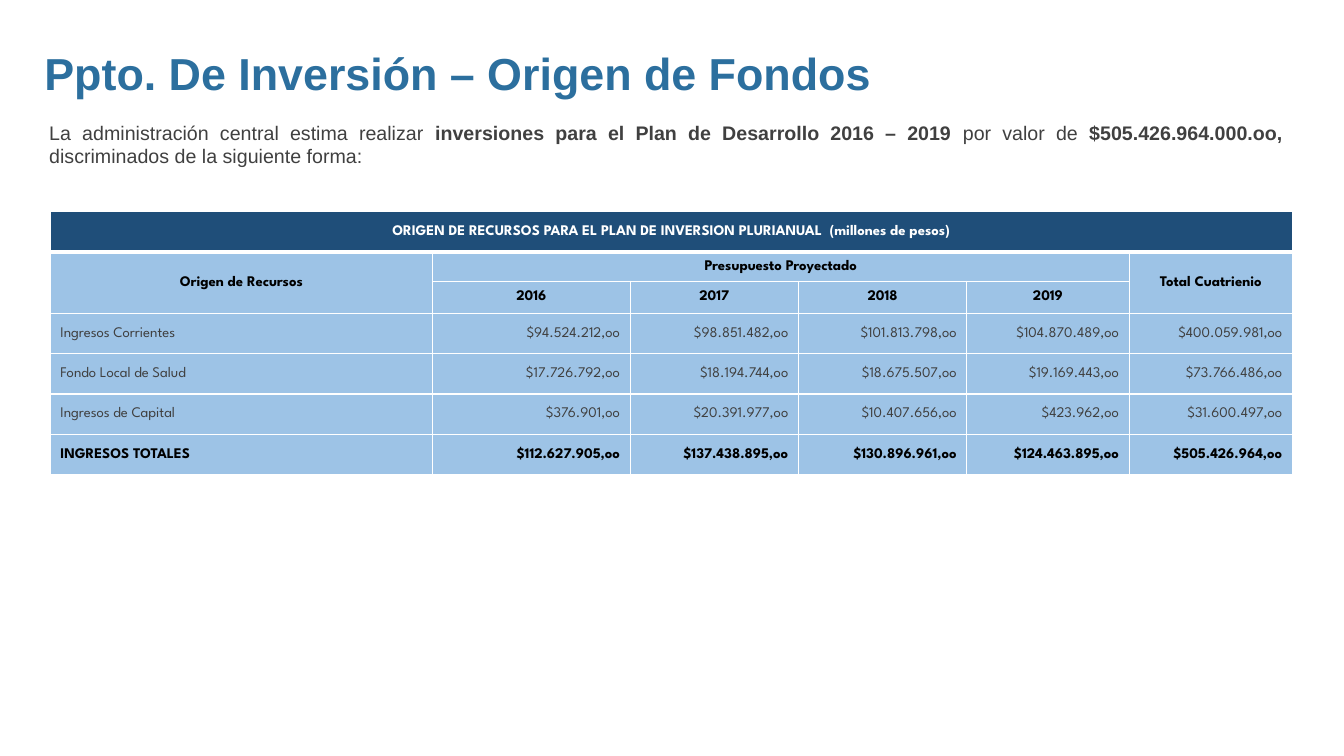
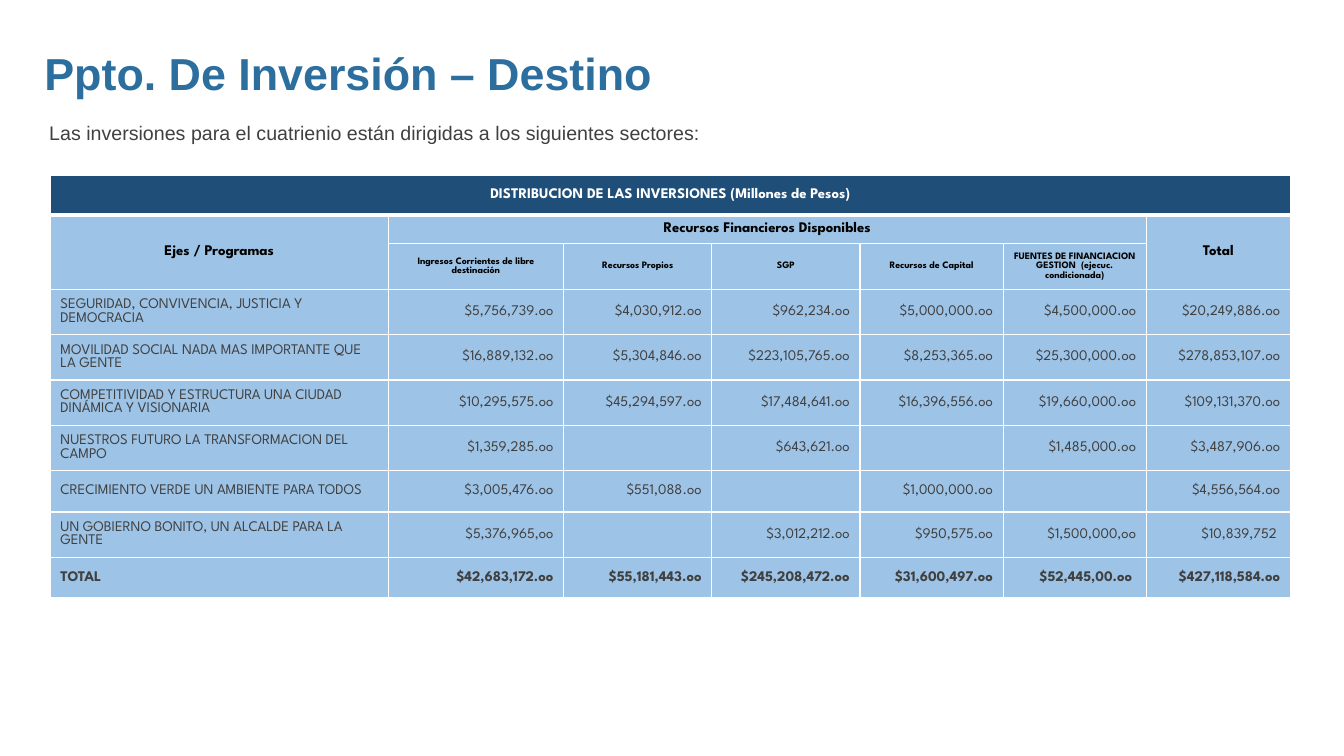
"""Build two investment budget slides: origin of funds and destination."""
from lxml import etree
from pptx import Presentation
from pptx.dml.color import RGBColor
from pptx.enum import text
from pptx.oxml import ns
from pptx.util import Inches, Pt

COLORS = {"title": "2C6F9E", "body": "404040", "banner": "1F4E79",
          "cell": "9DC3E6", "white": "FFFFFF", "black": "000000"}
BODY_FONT, TABLE_FONT = "Arial", "League Spartan"
LEFT, CENTER, RIGHT, JUSTIFY = (text.PP_ALIGN.LEFT, text.PP_ALIGN.CENTER,
                                text.PP_ALIGN.RIGHT, text.PP_ALIGN.JUSTIFY)
HEADER_ROWS = 3

SLIDES = [
    {
        "title": "Ppto. De Inversión – Origen de Fondos",
        "intro": [("La administración central estima realizar ", False),
                  ("inversiones para el Plan de Desarrollo 2016 – 2019 ", True),
                  ("por valor de ", False),
                  ("$505.426.964.000.oo, ", True),
                  ("discriminados de la siguiente forma:", False)],
        "intro_height": 0.57,
        "top": 2.1,
        "banner": "ORIGEN DE RECURSOS PARA EL PLAN DE INVERSION PLURIANUAL  (millones de pesos)",
        "label": "Origen de Recursos",
        "group": "Presupuesto Proyectado",
        "total": "Total Cuatrienio",
        "subheads": ["2016", "2017", "2018", "2019"],
        "subhead_size": 10.5,
        "total_color": "black",
        "columns": [3.79, 1.96, 1.67, 1.67, 1.61, 1.62],
        "heights": [0.4, 0.29, 0.32] + [0.4] * 4,
        "rows": [
            ["Ingresos Corrientes", "$94.524.212,oo", "$98.851.482,oo",
             "$101.813.798,oo", "$104.870.489,oo", "$400.059.981,oo"],
            ["Fondo Local de Salud", "$17.726.792,oo", "$18.194.744,oo",
             "$18.675.507,oo", "$19.169.443,oo", "$73.766.486,oo"],
            ["Ingresos de Capital", "$376.901,oo", "$20.391.977,oo",
             "$10.407.656,oo", "$423.962,oo", "$31.600.497,oo"],
            ["INGRESOS TOTALES", "$112.627.905,oo", "$137.438.895,oo",
             "$130.896.961,oo", "$124.463.895,oo", "$505.426.964,oo"],
        ],
    },
    {
        "title": "Ppto. De Inversión – Destino",
        "intro": [("Las inversiones para el cuatrienio están dirigidas "
                   "a los siguientes sectores:", False)],
        "intro_height": 0.34,
        "top": 1.74,
        "banner": "DISTRIBUCION DE LAS INVERSIONES (Millones de Pesos)",
        "label": "Ejes / Programas",
        "group": "Recursos Financieros Disponibles",
        "total": "Total",
        "subheads": ["Ingresos Corrientes de libre destinación", "Recursos Propios",
                     "SGP", "Recursos de Capital",
                     "FUENTES DE FINANCIACION GESTION  (ejecuc. condicionada)"],
        "subhead_size": 7,
        "total_color": "body",
        "columns": [3.35, 1.74, 1.47, 1.47, 1.42, 1.42, 1.43],
        "heights": [0.39, 0.29, 0.45] + [0.45] * 4 + [0.41, 0.45, 0.4],
        "rows": [
            ["SEGURIDAD, CONVIVENCIA, JUSTICIA Y DEMOCRACIA ", "$5,756,739.oo",
             "$4,030,912.oo", "$962,234.oo", "$5,000,000.oo", "$4,500,000.oo",
             "$20,249,886.oo"],
            ["MOVILIDAD SOCIAL NADA MAS IMPORTANTE QUE LA GENTE ", "$16,889,132.oo",
             "$5,304,846.oo", "$223,105,765.oo", "$8,253,365.oo", "$25,300,000.oo",
             "$278,853,107.oo"],
            ["COMPETITIVIDAD Y ESTRUCTURA UNA CIUDAD DINÁMICA Y VISIONARIA ",
             "$10,295,575.oo", "$45,294,597.oo", "$17,484,641.oo", "$16,396,556.oo",
             "$19,660,000.oo", "$109,131,370.oo"],
            ["NUESTROS FUTURO LA TRANSFORMACION DEL CAMPO ", "$1,359,285.oo", "",
             "$643,621.oo", "", "$1,485,000.oo", "$3,487,906.oo"],
            ["CRECIMIENTO VERDE UN AMBIENTE PARA TODOS ", "$3,005,476.oo",
             "$551,088.oo", "", "$1,000,000.oo", "", "$4,556,564.oo"],
            ["UN GOBIERNO BONITO, UN ALCALDE PARA LA GENTE ", "$5,376,965,oo", "",
             "$3,012,212.oo", "$950,575.oo", "$1,500,000,oo", "$10,839,752 "],
            ["TOTAL", "$42,683,172.oo", "$55,181,443.oo", "$245,208,472.oo",
             "$31,600,497.oo", "$52,445,00.oo ", "$427,118,584.oo"],
        ],
    },
]


def rgb(name):
    return RGBColor.from_string(COLORS[name])


def style(paragraph, family, size, color, bold, align):
    font = paragraph.font
    font.name, font.size, font.bold = family, Pt(size), bold
    font.color.rgb = rgb(color)
    paragraph.alignment = align


def place(shape, left, top, width, height):
    shape.left, shape.top = Inches(left), Inches(top)
    shape.width, shape.height = Inches(width), Inches(height)
    frame = shape.text_frame
    frame.word_wrap = True
    frame.auto_size = text.MSO_AUTO_SIZE.SHAPE_TO_FIT_TEXT
    frame.vertical_anchor = text.MSO_ANCHOR.TOP
    return frame.paragraphs[0]


def add_title(slide, title):
    slide.shapes.title.text = title
    paragraph = place(slide.shapes.title, 0.34, 0.4, 8.96, 0.64)
    style(paragraph, BODY_FONT, 32, "title", True, LEFT)


def add_intro(slide, runs, height):
    box = slide.shapes.add_textbox(0, 0, 0, 0)
    paragraph = place(box, 0.39, 1.15, 12.43, height)
    style(paragraph, BODY_FONT, 14, "body", False, JUSTIFY)
    for words, bold in runs:
        run = paragraph.add_run()
        run.text = words
        run.font.bold = bold


def add_borders(cell, bottom):
    properties = cell._tc.get_or_add_tcPr()
    widths = {"a:lnL": 1, "a:lnR": 1, "a:lnT": 1, "a:lnB": bottom}
    for position, (tag, width) in enumerate(widths.items()):
        line = etree.Element(ns.qn(tag), w=str(Pt(width)))
        fill = etree.SubElement(line, ns.qn("a:solidFill"))
        etree.SubElement(fill, ns.qn("a:srgbClr"), val=COLORS["white"])
        properties.insert(position, line)


def cell_style(content, row, column):
    """Return size, colour, boldness and alignment for a table cell."""
    if row == 0:
        return 10.5, "white", True, CENTER
    if row < HEADER_ROWS:
        return content["subhead_size"] if row == 2 else 10.5, "black", True, CENTER
    is_total = row == len(content["heights"]) - 1
    color = content["total_color"] if is_total else "body"
    return 10.5, color, is_total, RIGHT if column else LEFT


def add_budget_table(slide, content):
    columns, heights = content["columns"], content["heights"]
    last = len(columns) - 1
    grid = [[content["banner"]] + [""] * last,
            [content["label"], content["group"]] + [""] * (last - 2) + [content["total"]],
            [""] + content["subheads"] + [""]] + content["rows"]
    table = slide.shapes.add_table(
        len(heights), len(columns), Inches(0.5), Inches(content["top"]),
        Inches(sum(columns)), Inches(sum(heights))).table
    table.first_row = table.horz_banding = False
    for column, width in zip(table.columns, columns):
        column.width = Inches(width)
    for row, height in zip(table.rows, heights):
        row.height = Inches(height)
    for row, values in enumerate(grid):
        for column, value in enumerate(values):
            cell = table.cell(row, column)
            cell.text = value
            cell.vertical_anchor = text.MSO_ANCHOR.MIDDLE
            cell.fill.solid()
            cell.fill.fore_color.rgb = rgb("cell" if row else "banner")
            add_borders(cell, 1 if row else 3)
            style(cell.text_frame.paragraphs[0], TABLE_FONT,
                  *cell_style(content, row, column))
    for start, end in [((0, 0), (0, last)), ((1, 0), (2, 0)),
                       ((1, 1), (1, last - 1)), ((1, last), (2, last))]:
        table.cell(*start).merge(table.cell(*end))


presentation = Presentation()
presentation.slide_width, presentation.slide_height = Inches(13.33), Inches(7.5)
for content in SLIDES:
    slide = presentation.slides.add_slide(presentation.slide_layouts[5])
    add_title(slide, content["title"])
    add_intro(slide, content["intro"], content["intro_height"])
    add_budget_table(slide, content)
presentation.save("out.pptx")
